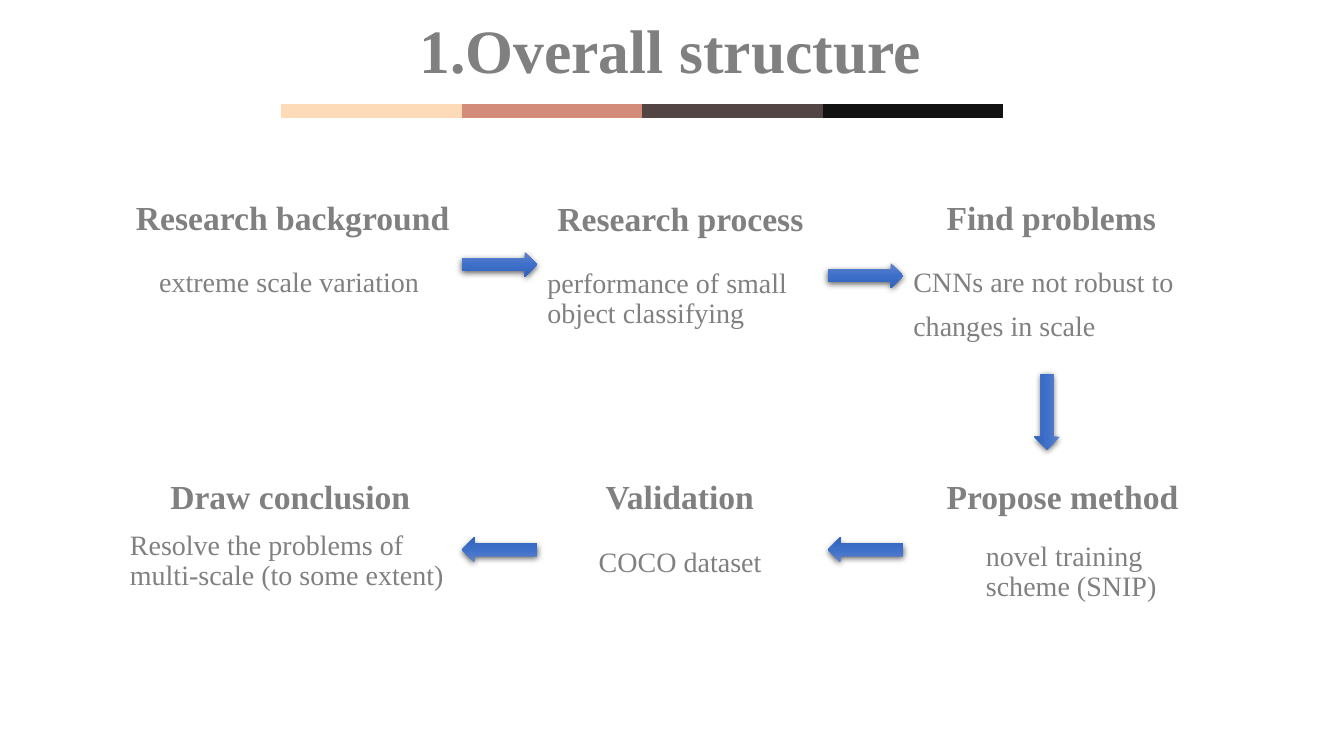
from lxml.etree import SubElement
from pptx import Presentation
from pptx.dml.color import RGBColor
from pptx.enum.shapes import MSO_CONNECTOR as Connector, MSO_SHAPE as Shape
from pptx.enum.text import MSO_ANCHOR as Anchor, MSO_AUTO_SIZE as AutoSize, PP_ALIGN as Align
from pptx.oxml import parse_xml
from pptx.oxml.ns import nsdecls, qn
from pptx.util import Emu, Pt

FONT, GREY = "Times New Roman", "808080"
STRIPE_COLOURS = ["FDDAB8", "D28C79", "534544", "121212"]
ARROW_W, ARROW_H = 75, 25

# Heading, its box, detail paragraphs, their box (left, top, width, height)
STEPS = [
    ("Research background", (125, 195, 334, 54),
     ["extreme scale variation"], (148, 261, 285, 41)),
    ("Research process", (543, 196, 268, 54),
     ["performance of small object classifying"], (533, 262, 288, 85)),
    ("Find problems", (929, 195, 230, 54),
     ["CNNs are not robust to", "changes in scale"], (896, 261, 288, 85)),
    ("Propose method", (929, 472, 255, 54),
     ["novel training scheme (SNIP)"], (968, 533, 239, 85)),
    ("Validation", (591, 472, 173, 54),
     ["COCO dataset"], (584, 539, 187, 39)),
    ("Draw conclusion", (159, 472, 262, 54),
     ["Resolve the problems of multi-scale (to some extent)"], (119, 522, 344, 112)),
]
# Left, top and rotation of the arrow that leaves each step
ARROWS = [(458, 250, 0), (821, 261, 0), (1001, 396, 90), (821, 533, 180), (458, 533, 180)]

ARROW_GRADIENT = f"""<a:gradFill {nsdecls('a')} rotWithShape="1"><a:gsLst>
<a:gs pos="0"><a:srgbClr val="6183CB"/></a:gs>
<a:gs pos="50000"><a:srgbClr val="3E70CA"/></a:gs>
<a:gs pos="100000"><a:srgbClr val="3062BB"/></a:gs>
</a:gsLst><a:lin ang="5400000" scaled="0"/></a:gradFill>"""
ARROW_SHADOW = f"""<a:effectLst {nsdecls('a')}>
<a:outerShdw blurRad="57150" dist="19050" dir="5400000" algn="ctr" rotWithShape="0">
<a:srgbClr val="000000"><a:alpha val="63000"/></a:srgbClr></a:outerShdw></a:effectLst>"""


def px(length):
    """100 px to the inch."""
    return Emu(length * 9144)


def colour(hex_string):
    return RGBColor.from_string(hex_string)


def write(frame, paragraphs, size, bold=False):
    frame.word_wrap = True
    frame.auto_size = AutoSize.NONE
    frame.vertical_anchor = Anchor.TOP
    for index, words in enumerate(paragraphs):
        paragraph = frame.add_paragraph() if index else frame.paragraphs[0]
        paragraph.alignment = Align.LEFT
        paragraph.line_spacing = 0.9
        paragraph.space_before = Pt(10 if index else 0)
        run = paragraph.add_run()
        run.text = words
        run.font.name, run.font.size, run.font.bold = FONT, Pt(size), bold
        run.font.color.rgb = colour(GREY)


def add_heading(slide, box):
    """Slide title."""
    title = slide.shapes.title
    title.left, title.top, title.width, title.height = map(px, box)
    write(title.text_frame, ["1.Overall structure"], 44, bold=True)


def add_stripes(slide, left, middle, stripe_width):
    """Four-coloured bar under the title."""
    for index, hex_string in enumerate(STRIPE_COLOURS):
        start = left + index * stripe_width
        stripe = slide.shapes.add_connector(
            Connector.STRAIGHT, px(start), px(middle), px(start + stripe_width), px(middle))
        stripe.line.color.rgb = colour(hex_string)
        stripe.line.width = Pt(10)
        SubElement(stripe._element.spPr, qn("a:effectLst"))


def add_step(slide, heading, heading_box, details, details_box):
    """One stage of the flow: bold heading and its details."""
    for paragraphs, box, size, bold in [([heading], heading_box, 24, True),
                                        (details, details_box, 20, False)]:
        label = slide.shapes.add_textbox(*map(px, box))
        write(label.text_frame, paragraphs, size, bold)


def add_arrow(slide, left, top, rotation):
    """Block arrow to the next stage."""
    arrow = slide.shapes.add_shape(
        Shape.RIGHT_ARROW, px(left), px(top), px(ARROW_W), px(ARROW_H))
    arrow.rotation = rotation
    arrow.line.fill.background()
    properties = arrow._element.spPr
    properties.find(qn("a:ln")).addprevious(parse_xml(ARROW_GRADIENT))
    properties.append(parse_xml(ARROW_SHADOW))


def main():
    deck = Presentation()
    deck.slide_width, deck.slide_height = px(1333), px(750)
    slide = deck.slides.add_slide(deck.slide_layouts.get_by_name("Title Only"))
    add_stripes(slide, 279, 110, 179)
    add_heading(slide, (406, 15, 547, 59))
    for step in STEPS:
        add_step(slide, *step)
    for arrow in ARROWS:
        add_arrow(slide, *arrow)
    deck.save("out.pptx")


if __name__ == "__main__":
    main()
